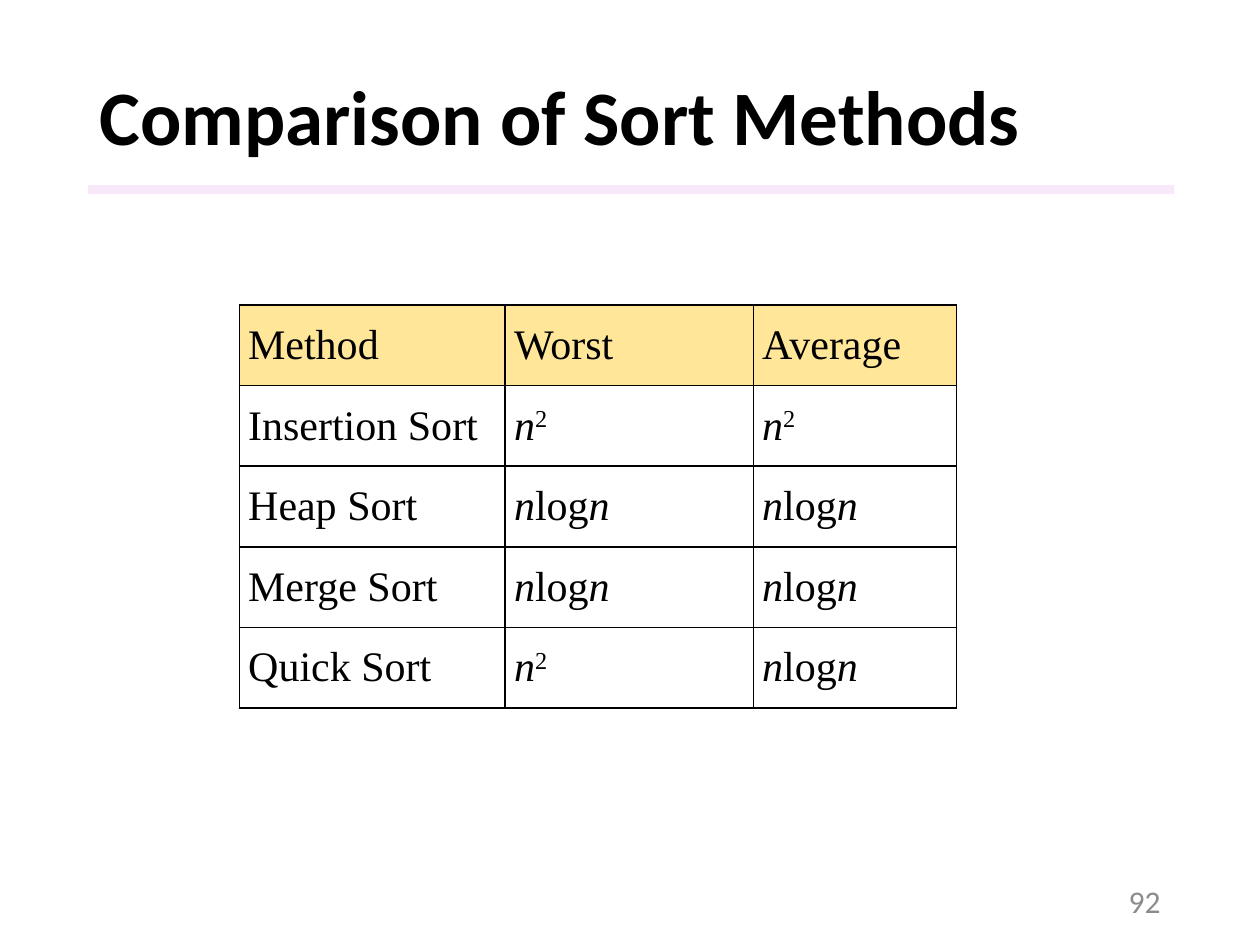
import pptx
import pptx.dml.color
import pptx.enum.shapes
import pptx.enum.text
import pptx.oxml
import pptx.oxml.ns
import pptx.util

Inches = pptx.util.Inches
Pt = pptx.util.Pt
RGBColor = pptx.dml.color.RGBColor
ANCHOR = pptx.enum.text.MSO_ANCHOR
ALIGN = pptx.enum.text.PP_ALIGN

BLACK = RGBColor(0x00, 0x00, 0x00)
GRAY = RGBColor(0x8C, 0x8C, 0x8C)
LILAC = RGBColor(0xF3, 0xD2, 0xF4)
HEADER_YELLOW = RGBColor(0xFF, 0xE6, 0x99)

# Each cell is a list of (text, style) runs.
PLAIN, ITALIC, SUPER = "plain", "italic", "super"
SQUARED = [("n", ITALIC), ("2", SUPER)]
LINEARITHMIC = [("n", ITALIC), ("log", PLAIN), ("n", ITALIC)]
HEADER = [[(name, PLAIN)] for name in ("Method", "Worst", "Average")]
METHODS = [
    ("Insertion Sort", SQUARED, SQUARED),
    ("Heap Sort", LINEARITHMIC, LINEARITHMIC),
    ("Merge Sort", LINEARITHMIC, LINEARITHMIC),
    ("Quick Sort", SQUARED, LINEARITHMIC),
]
COLUMN_WIDTHS = (2.11, 1.97, 1.61)
ROW_HEIGHT = 0.64


def add_run(paragraph, text, font_name, size, color, bold=False):
    run = paragraph.add_run()
    run.text = text
    run.font.name = font_name
    run.font.size = Pt(size)
    run.font.bold = bold
    run.font.color.rgb = color
    return run


def set_title(slide, text):
    title = slide.shapes.title
    title.left, title.top = Inches(0.69), Inches(0.4)
    title.width, title.height = Inches(8.62), Inches(1.11)
    frame = title.text_frame
    frame.auto_size = pptx.enum.text.MSO_AUTO_SIZE.NONE
    frame.vertical_anchor = ANCHOR.MIDDLE
    paragraph = frame.paragraphs[0]
    paragraph.alignment = ALIGN.LEFT
    paragraph.line_spacing = 0.9
    add_run(paragraph, text, "Calibri", 44, BLACK, bold=True)


def add_title_rule(slide):
    """Draw the half-transparent bar under the title."""
    rule = slide.shapes.add_shape(
        pptx.enum.shapes.MSO_SHAPE.RECTANGLE,
        Inches(0.7), Inches(1.47), Inches(8.62), Inches(0.07))
    rule.shadow.inherit = False
    rule.line.fill.background()
    rule.fill.solid()
    rule.fill.fore_color.rgb = LILAC
    color = rule.fill._xPr.find(".//" + pptx.oxml.ns.qn("a:srgbClr"))
    color.append(pptx.oxml.parse_xml(
        f'<a:alpha {pptx.oxml.ns.nsdecls("a")} val="50000"/>'))


def set_borders(cell):
    properties = cell._tc.get_or_add_tcPr()
    for side in ("lnL", "lnR", "lnT", "lnB"):
        properties.append(pptx.oxml.parse_xml(
            f'<a:{side} {pptx.oxml.ns.nsdecls("a")} w="{Pt(1)}">'
            f'<a:solidFill><a:srgbClr val="{BLACK}"/></a:solidFill></a:{side}>'))


def fill_cell(cell, runs, background=None):
    set_borders(cell)
    if background is None:
        cell.fill.background()
    else:
        cell.fill.solid()
        cell.fill.fore_color.rgb = background
    cell.vertical_anchor = ANCHOR.MIDDLE
    cell.margin_left = cell.margin_right = Inches(0.07)
    cell.margin_top = cell.margin_bottom = 0
    paragraph = cell.text_frame.paragraphs[0]
    for text, style in runs:
        font = add_run(paragraph, text, "Times New Roman", 24, BLACK).font
        font.italic = style == ITALIC
        if style == SUPER:
            font._element.set("baseline", "30000")


def add_comparison_table(slide):
    rows = [HEADER] + [[[(name, PLAIN)], worst, average]
                       for name, worst, average in METHODS]
    table = slide.shapes.add_table(
        len(rows), len(COLUMN_WIDTHS), Inches(1.9), Inches(2.42),
        Inches(sum(COLUMN_WIDTHS)), Inches(ROW_HEIGHT * len(rows))).table
    table.first_row = table.horz_banding = False
    for column, width in zip(table.columns, COLUMN_WIDTHS):
        column.width = Inches(width)
    for row_index, cells in enumerate(rows):
        table.rows[row_index].height = Inches(ROW_HEIGHT)
        background = HEADER_YELLOW if row_index == 0 else None
        for column_index, runs in enumerate(cells):
            fill_cell(table.cell(row_index, column_index), runs, background)


def add_page_number(slide, number):
    frame = slide.shapes.add_textbox(
        Inches(7.06), Inches(6.95), Inches(2.25), Inches(0.4)).text_frame
    frame.word_wrap = True
    frame.vertical_anchor = ANCHOR.MIDDLE
    frame.paragraphs[0].alignment = ALIGN.RIGHT
    add_run(frame.paragraphs[0], number, "Calibri", 18, GRAY)


def main():
    presentation = pptx.Presentation()
    presentation.slide_width = Inches(10)
    presentation.slide_height = Inches(7.5)
    slide = presentation.slides.add_slide(presentation.slide_layouts[5])
    add_title_rule(slide)
    set_title(slide, "Comparison of Sort Methods")
    add_comparison_table(slide)
    add_page_number(slide, "92")
    presentation.save("out.pptx")


if __name__ == "__main__":
    main()
